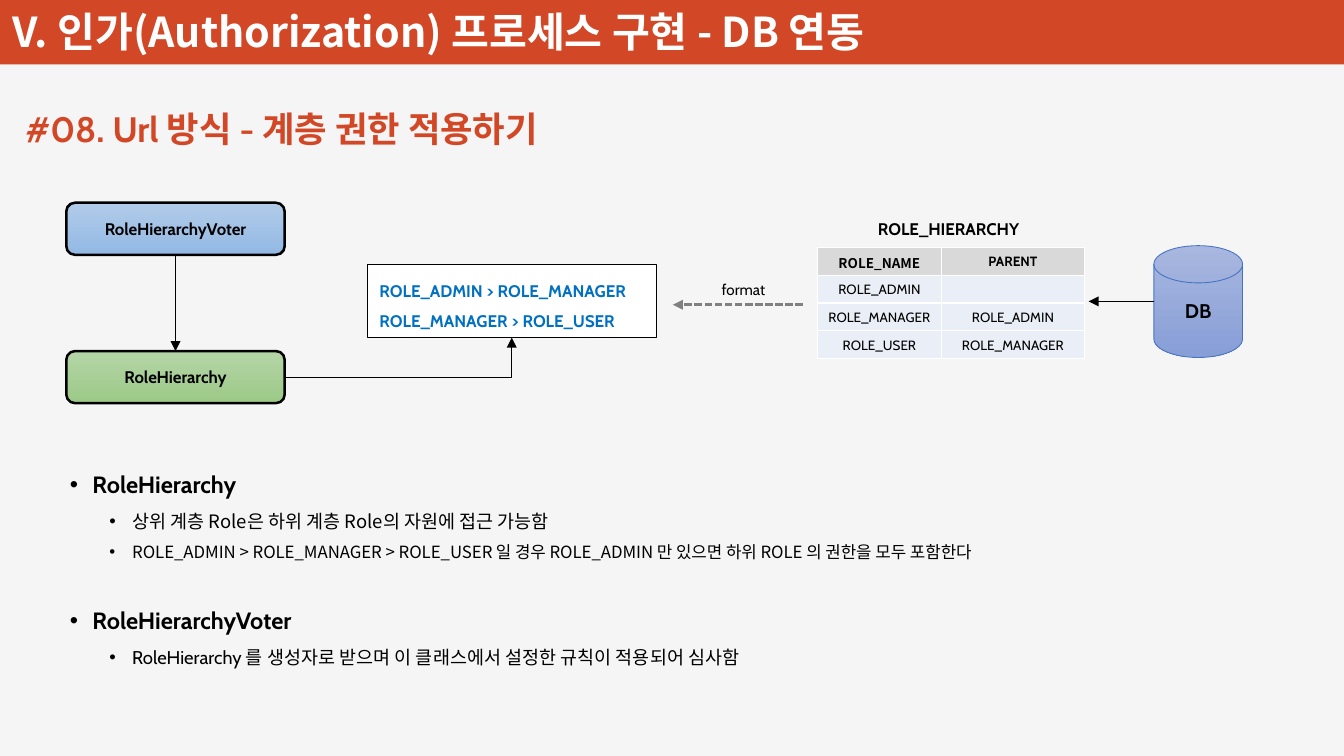
import pptx
import pptx.util
import pptx.dml.color
import pptx.enum.dml
import pptx.enum.shapes
import pptx.enum.text
import pptx.oxml.ns
from lxml import etree

Pt = pptx.util.Pt
qn = pptx.oxml.ns.qn
color = pptx.dml.color.RGBColor.from_string
MSO_SHAPE = pptx.enum.shapes.MSO_SHAPE
MSO_CONNECTOR = pptx.enum.shapes.MSO_CONNECTOR
MSO_ANCHOR = pptx.enum.text.MSO_ANCHOR
MSO_AUTO_SIZE = pptx.enum.text.MSO_AUTO_SIZE
PP_ALIGN = pptx.enum.text.PP_ALIGN

CABIN, NOTO = "Cabin", "Noto Sans CJK KR"
BLACK, WHITE, ORANGE, BLUE = "000000", "FFFFFF", "D24726", "0070C0"


def add_run(paragraph, text, size, hex_color=BLACK, bold=False, font=CABIN):
    run = paragraph.add_run()
    run.text = text
    run.font.size = Pt(size)
    run.font.bold = bold
    run.font.color.rgb = color(hex_color)
    run.font.name = font
    etree.SubElement(run.font._element, qn("a:ea"), typeface=NOTO)


def add_arrow(kind, start, end, hex_color=BLACK, width=0.5):
    arrow = slide.shapes.add_connector(kind, *[Pt(value) for value in start + end])
    arrow.line.color.rgb = color(hex_color)
    arrow.line.width = Pt(width)
    etree.SubElement(arrow.line._get_or_add_ln(), qn("a:tailEnd"), type="triangle")
    etree.SubElement(arrow._element.spPr, qn("a:effectLst"))
    return arrow


presentation = pptx.Presentation()
presentation.slide_width, presentation.slide_height = Pt(800), Pt(450)
slide = presentation.slides.add_slide(presentation.slide_layouts[6])
slide.background.fill.solid()
slide.background.fill.fore_color.rgb = color("F5F5F5")

# Title band
band = slide.shapes.add_shape(MSO_SHAPE.RECTANGLE, 0, 0, Pt(800), Pt(38.4))
band.shadow.inherit = False
band.fill.solid()
band.fill.fore_color.rgb = color(ORANGE)
band.line.fill.background()
title = slide.shapes.add_textbox(Pt(0.5), Pt(-7), Pt(576), Pt(44))
title.text_frame.word_wrap = True
title.text_frame.vertical_anchor = MSO_ANCHOR.BOTTOM
add_run(title.text_frame.paragraphs[0], "V. 인가(Authorization) 프로세스 구현 - DB 연동",
        24.5, WHITE, True, NOTO)

# Heading and labels
for text, left, top, width, height, size, hex_color, bold in [
    ("#08. Url 방식 - 계층 권한 적용하기", 8, 60, 343, 32.5, 21, ORANGE, True),
    ("format", 422.5, 163.5, 42, 18, 9, BLACK, False),
    ("ROLE_HIERARCHY", 515.5, 126.7, 100, 19.5, 10, BLACK, True),
]:
    label = slide.shapes.add_textbox(Pt(left), Pt(top), Pt(width), Pt(height))
    label.text_frame.word_wrap = False
    label.text_frame.auto_size = MSO_AUTO_SIZE.SHAPE_TO_FIT_TEXT
    add_run(label.text_frame.paragraphs[0], text, size, hex_color, bold)

# Explanation
explanation = slide.shapes.add_textbox(Pt(34.5), Pt(268), Pt(748), Pt(135))
explanation.text_frame.word_wrap = True
for index, (text, level, size, font, space_before) in enumerate([
    ("RoleHierarchy", 0, 14, CABIN, 0),
    ("상위 계층 Role은 하위 계층 Role의 자원에 접근 가능함", 1, 11, NOTO, 0),
    ("ROLE_ADMIN > ROLE_MANAGER > ROLE_USER 일 경우 ROLE_ADMIN 만 있으면 "
     "하위 ROLE 의 권한을 모두 포함한다", 1, 10, NOTO, 0),
    ("RoleHierarchyVoter", 0, 14, CABIN, 18),
    ("RoleHierarchy 를 생성자로 받으며 이 클래스에서 설정한 규칙이 적용되어 심사함",
     1, 11, CABIN, 0),
]):
    frame = explanation.text_frame
    paragraph = frame.add_paragraph() if index else frame.paragraphs[0]
    paragraph.level = level
    paragraph.line_spacing = 1.5
    paragraph.space_before = Pt(space_before)
    properties = paragraph._p.get_or_add_pPr()
    properties.set("marL", str(Pt(13.5 + 23.6 * level)))
    properties.set("indent", str(Pt(-13.5)))
    etree.SubElement(properties, qn("a:buFont"), typeface="Arial")
    etree.SubElement(properties, qn("a:buChar"), char="•")
    add_run(paragraph, text, size, bold=level == 0, font=font)

# Hierarchy rules
rules = slide.shapes.add_shape(MSO_SHAPE.RECTANGLE, Pt(218.8), Pt(157.3), Pt(171.6), Pt(43.7))
rules.shadow.inherit = False
rules.fill.solid()
rules.fill.fore_color.rgb = color(WHITE)
rules.line.color.rgb = color(BLACK)
rules.line.width = Pt(0.25)
rules.text_frame.word_wrap = False
rules.text_frame.vertical_anchor = MSO_ANCHOR.TOP
for index, text in enumerate(["ROLE_ADMIN > ROLE_MANAGER", "ROLE_MANAGER > ROLE_USER"]):
    frame = rules.text_frame
    paragraph = frame.add_paragraph() if index else frame.paragraphs[0]
    paragraph.alignment = PP_ALIGN.LEFT
    paragraph.line_spacing = 1.5
    add_run(paragraph, text, 10, BLUE, True)

# Components with gradient fills
components = {}
for text, kind, left, top, width, height, stops, line_color, line_width, size in [
    ("RoleHierarchy", MSO_SHAPE.ROUNDED_RECTANGLE, 39.5, 209, 130, 31,
     ("B5D5A7", "9CC987"), BLACK, 1.5, 10),
    ("RoleHierarchyVoter", MSO_SHAPE.ROUNDED_RECTANGLE, 39.5, 120.7, 130, 31,
     ("B1CBE9", "93B9E4"), BLACK, 1.5, 10),
    ("DB", MSO_SHAPE.FLOWCHART_MAGNETIC_DISK, 686.8, 146.2, 52.8, 66.6,
     ("A8B7DF", "889ED7"), "4472C4", 0.5, 11.8),
]:
    shape = slide.shapes.add_shape(kind, Pt(left), Pt(top), Pt(width), Pt(height))
    shape.shadow.inherit = False
    shape.fill.gradient()
    shape.fill.gradient_angle = 270
    for stop, hex_color in zip(shape.fill.gradient_stops, stops):
        stop.color.rgb = color(hex_color)
    shape.line.color.rgb = color(line_color)
    shape.line.width = Pt(line_width)
    shape.text_frame.vertical_anchor = MSO_ANCHOR.MIDDLE
    paragraph = shape.text_frame.paragraphs[0]
    paragraph.alignment = PP_ALIGN.CENTER
    add_run(paragraph, text, size, bold=True)
    components[text] = shape

# Arrows
voter_arrow = add_arrow(MSO_CONNECTOR.STRAIGHT, (104.5, 151.7), (104.5, 209))
voter_arrow.begin_connect(components["RoleHierarchyVoter"], 2)
voter_arrow.end_connect(components["RoleHierarchy"], 0)
format_arrow = add_arrow(MSO_CONNECTOR.STRAIGHT, (478, 181.4), (400.5, 181.4), "808080", 1.5)
format_arrow.line.dash_style = pptx.enum.dml.MSO_LINE.SQUARE_DOT
add_arrow(MSO_CONNECTOR.STRAIGHT, (686.8, 179.4), (648, 179.4))
rules_arrow = add_arrow(MSO_CONNECTOR.ELBOW, (169.5, 224.5), (304.6, 201))
rules_arrow._element.spPr.find(qn("a:prstGeom")).set("prst", "bentConnector2")

# ROLE_HIERARCHY table
rows = [
    ("ROLE_NAME", "PARENT"),
    ("ROLE_ADMIN", ""),
    ("ROLE_MANAGER", "ROLE_ADMIN"),
    ("ROLE_USER", "ROLE_MANAGER"),
]
table = slide.shapes.add_table(4, 2, Pt(486.7), Pt(147.4), Pt(159), Pt(66)).table
table.columns[0].width, table.columns[1].width = Pt(73.6), Pt(85.4)
for row_index, row in enumerate(rows):
    table.rows[row_index].height = Pt(16.5)
    for column_index, text in enumerate(row):
        cell = table.cell(row_index, column_index)
        cell.margin_left = cell.margin_right = cell.margin_top = Pt(0.7)
        cell.margin_bottom = 0
        cell.vertical_anchor = MSO_ANCHOR.MIDDLE
        for side in ("lnL", "lnR", "lnT", "lnB"):
            border = etree.SubElement(cell._tc.get_or_add_tcPr(), qn("a:" + side), w=str(Pt(1)))
            border_fill = etree.SubElement(border, qn("a:solidFill"))
            etree.SubElement(border_fill, qn("a:srgbClr"), val=WHITE)
        cell.fill.solid()
        cell.fill.fore_color.rgb = color("EAEFF7" if row_index else "D9D9D9")
        paragraph = cell.text_frame.paragraphs[0]
        paragraph.alignment = PP_ALIGN.CENTER
        if text:
            font = NOTO if text == "ROLE_NAME" else CABIN
            add_run(paragraph, text, 8, bold=row_index == 0, font=font)
        else:
            etree.SubElement(paragraph._p, qn("a:endParaRPr"), sz="800")

presentation.save("out.pptx")
